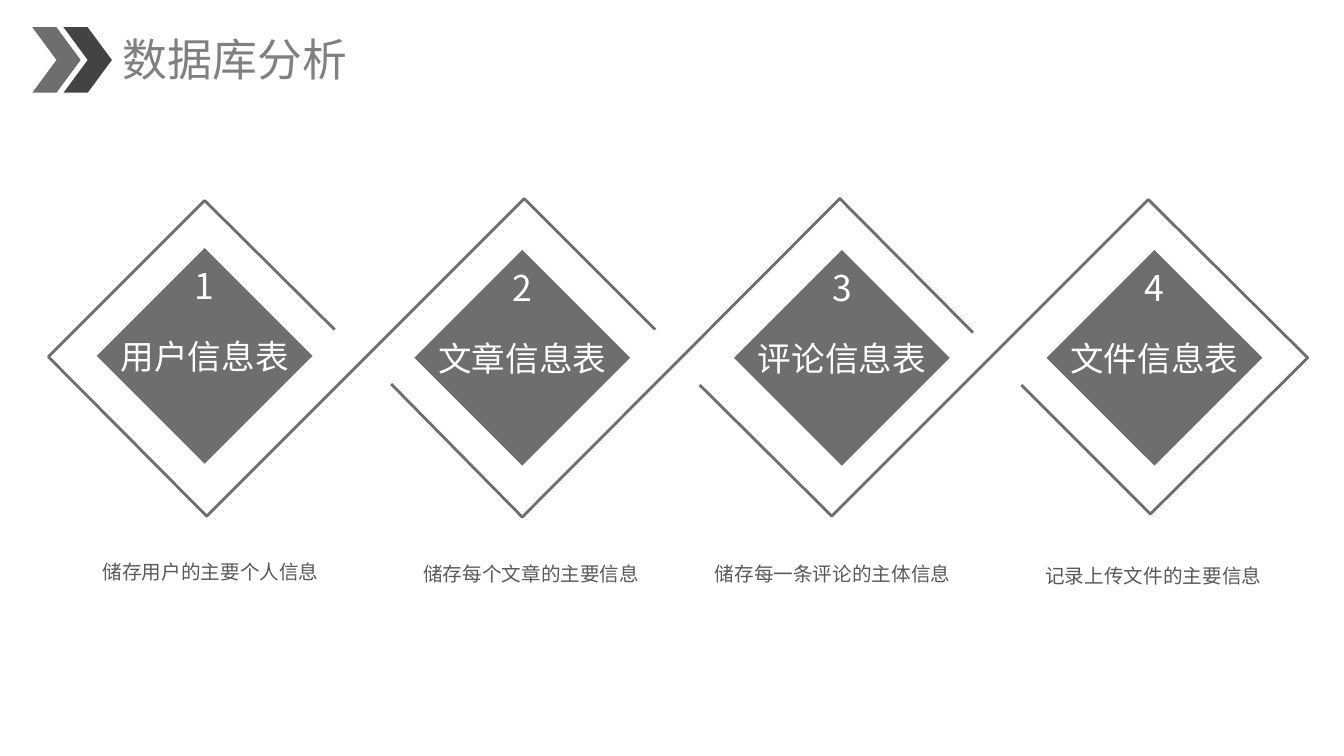
from dataclasses import dataclass

from lxml import etree
from pptx import Presentation
from pptx.dml.color import RGBColor
from pptx.enum.shapes import MSO_SHAPE
from pptx.enum.text import MSO_ANCHOR, MSO_AUTO_SIZE, PP_ALIGN
from pptx.oxml.ns import qn
from pptx.shapes.autoshape import Shape
from pptx.slide import Slide
from pptx.text.text import TextFrame
from pptx.util import Pt

DIAMOND = MSO_SHAPE.DIAMOND
CHEVRON = MSO_SHAPE.CHEVRON
MIDDLE = MSO_ANCHOR.MIDDLE
FIT_SHAPE = MSO_AUTO_SIZE.SHAPE_TO_FIT_TEXT
LEFT = PP_ALIGN.LEFT
CENTER = PP_ALIGN.CENTER

EMU_PER_PX = 9144
DIAMOND_SIZE = 214
NUMBER_SIZE = 40
NUMBER_RISE = 70
CAPTION_WIDTH, CAPTION_HEIGHT = 290, 45


@dataclass(frozen=True)
class Theme:
    font: str = "Noto Sans CJK SC"
    gray: str = "6E6E6E"
    dark: str = "434343"
    white: str = "FFFFFF"
    title: str = "808080"
    caption: str = "595959"
    title_size: float = 32
    number_size: float = 25.3
    label_size: float = 24
    caption_size: float = 14
    line_width: float = 2


@dataclass(frozen=True)
class Topic:
    label: str
    center_x: int
    center_y: int
    caption: str
    caption_left: int
    caption_top: int


THEME = Theme()
TOPICS = (
    Topic("用户信息表", 203, 353, "储存用户的主要个人信息", 64, 539),
    Topic("文章信息表", 518, 355, "储存每个文章的主要信息", 382, 541),
    Topic("评论信息表", 835, 355, "储存每一条评论的主体信息", 681, 541),
    Topic("文件信息表", 1145, 355, "记录上传文件的主要信息", 999, 543),
)
RIBBONS = (
    ((650, 327), (520, 197), (205, 512), (48, 354), (203, 199), (332, 327)),
    ((388, 381), (518, 513), (833, 197), (965, 330)),
    ((694, 382), (825, 512), (1139, 198), (1297, 355), (1141, 510), (1013, 382)),
)
CHEVRONS = ((32, THEME.gray), (63, THEME.dark))


def px(length: int) -> int:
    """Turn px into EMU."""
    return length * EMU_PER_PX


def write(frame: TextFrame, text: str, size: float, color: str,
          align: PP_ALIGN = CENTER) -> None:
    """Put one formatted line of text in a frame."""
    frame.text = text
    para = frame.paragraphs[0]
    para.alignment = align
    span = para.runs[0]
    span.font.size = Pt(size)
    span.font.color.rgb = RGBColor.from_string(color)
    span.font.name = THEME.font
    east_asian = etree.SubElement(span.font._element, qn("a:ea"))
    east_asian.set("typeface", THEME.font)


def add_solid(page: Slide, kind: MSO_SHAPE, left: int, top: int,
              width: int, height: int, color: str) -> Shape:
    """Add a filled preset shape without an outline."""
    shape = page.shapes.add_shape(kind, px(left), px(top), px(width), px(height))
    shape.shadow.inherit = False
    shape.fill.solid()
    shape.fill.fore_color.rgb = RGBColor.from_string(color)
    shape.line.fill.background()
    return shape


def add_diamond(page: Slide, center_x: int, center_y: int, side: int,
                text: str, text_size: float) -> None:
    """Add a diamond with white text around a centre point."""
    half = side // 2
    shape = add_solid(page, DIAMOND, center_x - half, center_y - half,
                      side, side, THEME.gray)
    frame = shape.text_frame
    frame.margin_left = frame.margin_right = 0
    frame.margin_top = frame.margin_bottom = 0
    frame.word_wrap = False
    frame.vertical_anchor = MIDDLE
    write(frame, text, text_size, THEME.white)


def add_ribbon(page: Slide, points: tuple[tuple[int, int], ...]) -> None:
    """Add an open zigzag line through the points."""
    builder = page.shapes.build_freeform(*points[0], scale=EMU_PER_PX)
    builder.add_line_segments(points[1:], close=False)
    ribbon = builder.convert_to_shape()
    ribbon.shadow.inherit = False
    ribbon.fill.background()
    ribbon.line.color.rgb = RGBColor.from_string(THEME.gray)
    ribbon.line.width = Pt(THEME.line_width)


def add_text(page: Slide, left: int, top: int, width: int, height: int,
             wrap: bool) -> TextFrame:
    """Add an empty text box and return its frame."""
    box = page.shapes.add_textbox(px(left), px(top), px(width), px(height))
    frame = box.text_frame
    frame.word_wrap = wrap
    frame.auto_size = FIT_SHAPE
    return frame


def add_header(page: Slide) -> None:
    """Add the slide title and its chevrons."""
    frame = add_text(page, 112, 27, 245, 64, wrap=False)
    write(frame, "数据库分析", THEME.title_size, THEME.title, LEFT)
    for left, color in CHEVRONS:
        add_solid(page, CHEVRON, left, 27, 48, 65, color)


def add_topic(page: Slide, number: int, topic: Topic) -> None:
    """Add one numbered diamond and its caption."""
    add_diamond(page, topic.center_x, topic.center_y, DIAMOND_SIZE,
                topic.label, THEME.label_size)
    add_diamond(page, topic.center_x, topic.center_y - NUMBER_RISE, NUMBER_SIZE,
                str(number), THEME.number_size)
    frame = add_text(page, topic.caption_left, topic.caption_top,
                     CAPTION_WIDTH, CAPTION_HEIGHT, wrap=True)
    write(frame, topic.caption, THEME.caption_size, THEME.caption)
    frame.paragraphs[0].line_spacing = 1.5


def main() -> None:
    """Build and save the deck."""
    deck = Presentation()
    deck.slide_width, deck.slide_height = px(1333), px(750)
    page = deck.slides.add_slide(deck.slide_layouts[6])
    for points in RIBBONS:
        add_ribbon(page, points)
    for number, topic in enumerate(TOPICS, start=1):
        add_topic(page, number, topic)
    add_header(page)
    deck.save("out.pptx")


if __name__ == "__main__":
    main()
